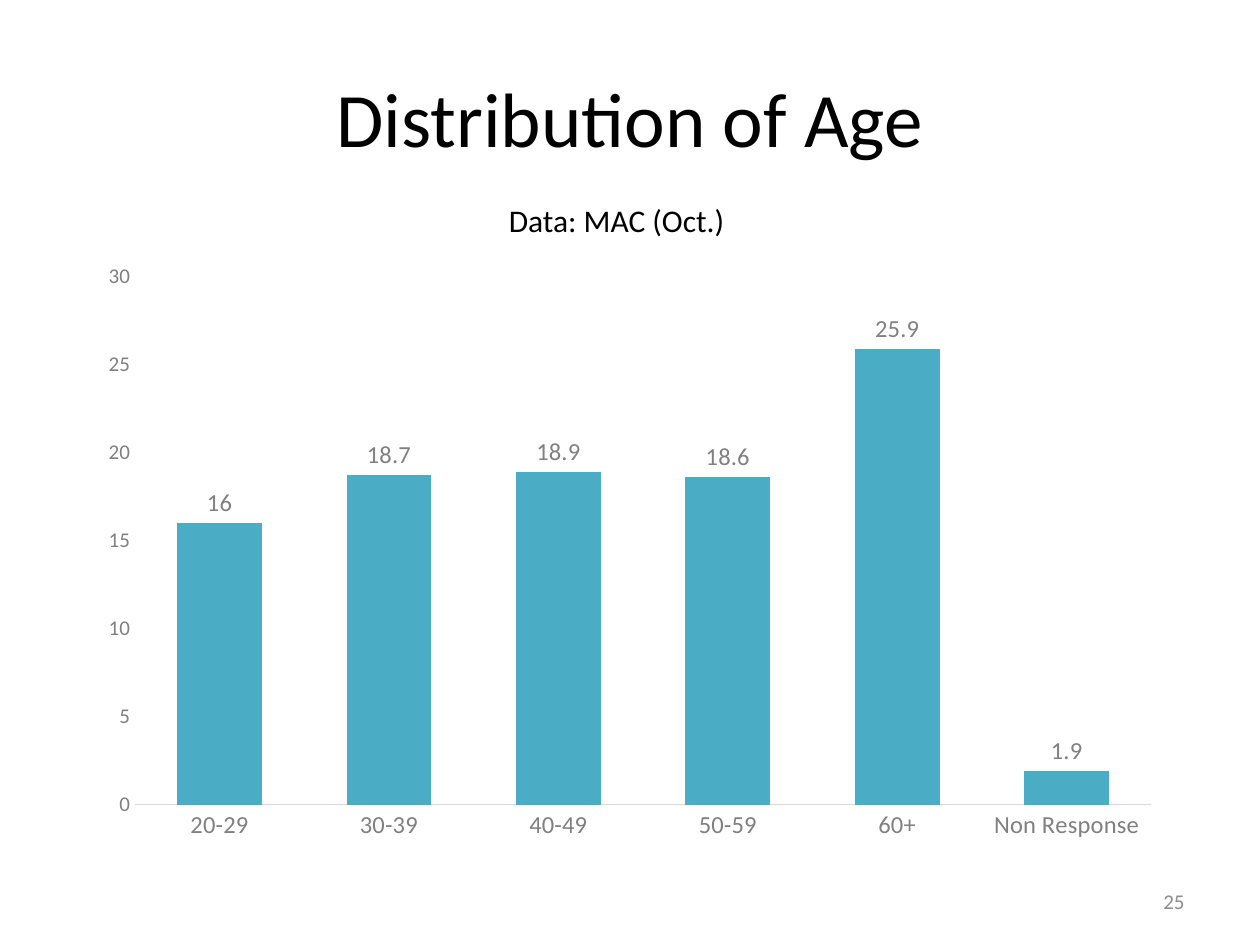
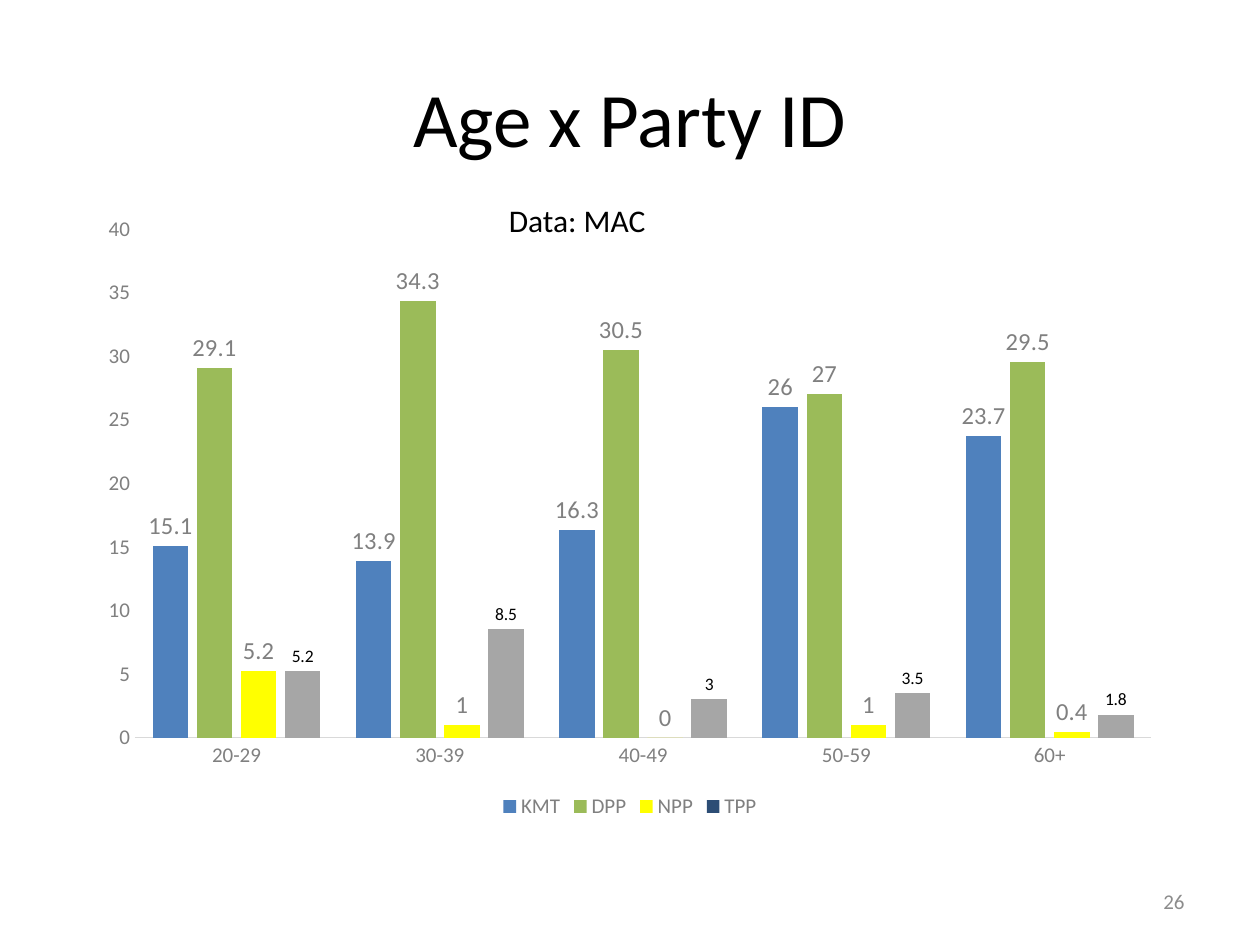
from dataclasses import dataclass

from pptx import Presentation
from pptx import util as u
from pptx.chart import data as cd
from pptx.dml import color as col
from pptx.enum import chart as ce
from pptx.enum import text as te


@dataclass(frozen=True)
class Theme:
    font: str = "Calibri"
    ink: str = "000000"
    muted: str = "808080"
    number: str = "8C8C8C"
    rule: str = "D9D9D9"
    teal: str = "4BACC6"
    blue: str = "4F81BD"
    green: str = "9BBB59"
    yellow: str = "FFFF00"
    navy: str = "2C4D75"
    grey: str = "A6A6A6"
    title_size: int = 44
    source_size: int = 18
    label_size: int = 14
    small_size: int = 12
    tiny_size: int = 10


T = Theme()
COLS, ROWS = 100, 75
AGES = ["20-29", "30-39", "40-49", "50-59", "60+"]


def rgb(value):
    return col.RGBColor.from_string(value)


def set_attrs(obj, **values):
    for name, value in values.items():
        setattr(obj, name, value)


@dataclass
class Series:
    name: str
    values: list
    color: str
    point_color: str = ""
    label_size: int = T.label_size
    label_color: str = T.muted


class Deck:
    def __init__(self, theme):
        self.t = theme
        self.prs = Presentation()
        set_attrs(self.prs, slide_width=u.Inches(10), slide_height=u.Inches(7.5))
        self.s = None

    def new_slide(self, title, source, source_width, number):
        self.s = self.prs.slides.add_slide(self.prs.slide_layouts[6])
        middle = te.MSO_ANCHOR.MIDDLE
        self.text(title, (5, 3, 90, 12.5), self.t.title_size, self.t.ink,
                  te.PP_ALIGN.CENTER, vertical_anchor=middle)
        self.text(str(number), (71.7, 69.5, 23.3, 4), self.t.small_size, self.t.number,
                  te.PP_ALIGN.RIGHT, vertical_anchor=middle)
        self.text(source, (39.4, 15.5, source_width, 4), self.t.source_size, self.t.ink,
                  te.PP_ALIGN.LEFT, word_wrap=False,
                  auto_size=te.MSO_AUTO_SIZE.SHAPE_TO_FIT_TEXT)

    def box(self, left, top, width, height):
        dx, dy = self.prs.slide_width / COLS, self.prs.slide_height / ROWS
        return [u.Emu(round(v)) for v in (left * dx, top * dy, width * dx, height * dy)]

    def style(self, font, size, color):
        set_attrs(font, name=self.t.font, size=u.Pt(size), bold=False)
        font.color.rgb = rgb(color)

    def text(self, words, cells, size, color, align, **frame):
        tf = self.s.shapes.add_textbox(*self.box(*cells)).text_frame
        set_attrs(tf, **{"word_wrap": True, **frame})
        p = tf.paragraphs[0]
        p.alignment = align
        r = p.add_run()
        r.text = words
        self.style(r.font, size, color)

    def columns(self, cells, cats, series, top_value, cat_size, legend=False):
        data = cd.CategoryChartData()
        data.categories = cats
        for item in series:
            data.add_series(item.name, item.values)
        chart = self.s.shapes.add_chart(
            ce.XL_CHART_TYPE.COLUMN_CLUSTERED, *self.box(*cells), data).chart
        set_attrs(chart, has_title=False, has_legend=legend)
        self.style(chart.font, self.t.tiny_size, self.t.ink)
        plot = chart.plots[0]
        set_attrs(plot, gap_width=100, overlap=-24, vary_by_categories=False)
        for item, ser in zip(series, plot.series):
            self.paint(item, ser)
        self.axes(chart, top_value, cat_size)
        if legend:
            set_attrs(chart.legend, position=ce.XL_LEGEND_POSITION.BOTTOM,
                      include_in_layout=False)
            self.style(chart.legend.font, self.t.small_size, self.t.muted)

    def paint(self, item, ser):
        ser.invert_if_negative = False
        fills = [(ser, item.color)]
        if item.point_color:
            fills += [(ser.points[i], item.point_color) for i in range(len(item.values))]
        for part, color in fills:
            part.format.fill.solid()
            part.format.fill.fore_color.rgb = rgb(color)
        labels = ser.data_labels
        set_attrs(labels, show_value=True, position=ce.XL_LABEL_POSITION.OUTSIDE_END)
        self.style(labels.font, item.label_size, item.label_color)

    def axes(self, chart, top_value, cat_size):
        cat, val = chart.category_axis, chart.value_axis
        for axis, size in ((cat, cat_size), (val, self.t.small_size)):
            set_attrs(axis, has_major_gridlines=False,
                      major_tick_mark=ce.XL_TICK_MARK.NONE,
                      minor_tick_mark=ce.XL_TICK_MARK.NONE)
            self.style(axis.tick_labels.font, size, self.t.muted)
        set_attrs(val, minimum_scale=0, maximum_scale=top_value, major_unit=5)
        val.format.line.fill.background()
        cat.format.line.width = u.Pt(0.75)
        cat.format.line.color.rgb = rgb(self.t.rule)


def main():
    deck = Deck(T)

    deck.new_slide("Distribution of Age", "Data: MAC (Oct.)", 19.4, 25)
    deck.columns((6.9, 20, 86.2, 47.6), AGES + ["Non Response"],
                 [Series("Series 1", [16, 18.7, 18.9, 18.6, 25.9, 1.9], T.teal)],
                 30, T.label_size)

    deck.new_slide("Age x Party ID", "Data: MAC", 13.1, 26)
    parties = [
        Series("KMT", [15.1, 13.9, 16.3, 26, 23.7], T.blue),
        Series("DPP", [29.1, 34.3, 30.5, 27, 29.5], T.green),
        Series("NPP", [5.2, 1, 0, 1, 0.4], T.yellow),
        Series("TPP", [5.2, 8.5, 3, 3.5, 1.8], T.navy, T.grey, T.tiny_size, T.ink),
    ]
    deck.columns((6.9, 16.2, 86.2, 49.2), AGES, parties, 40, T.small_size, legend=True)

    deck.prs.save("out.pptx")


if __name__ == "__main__":
    main()
